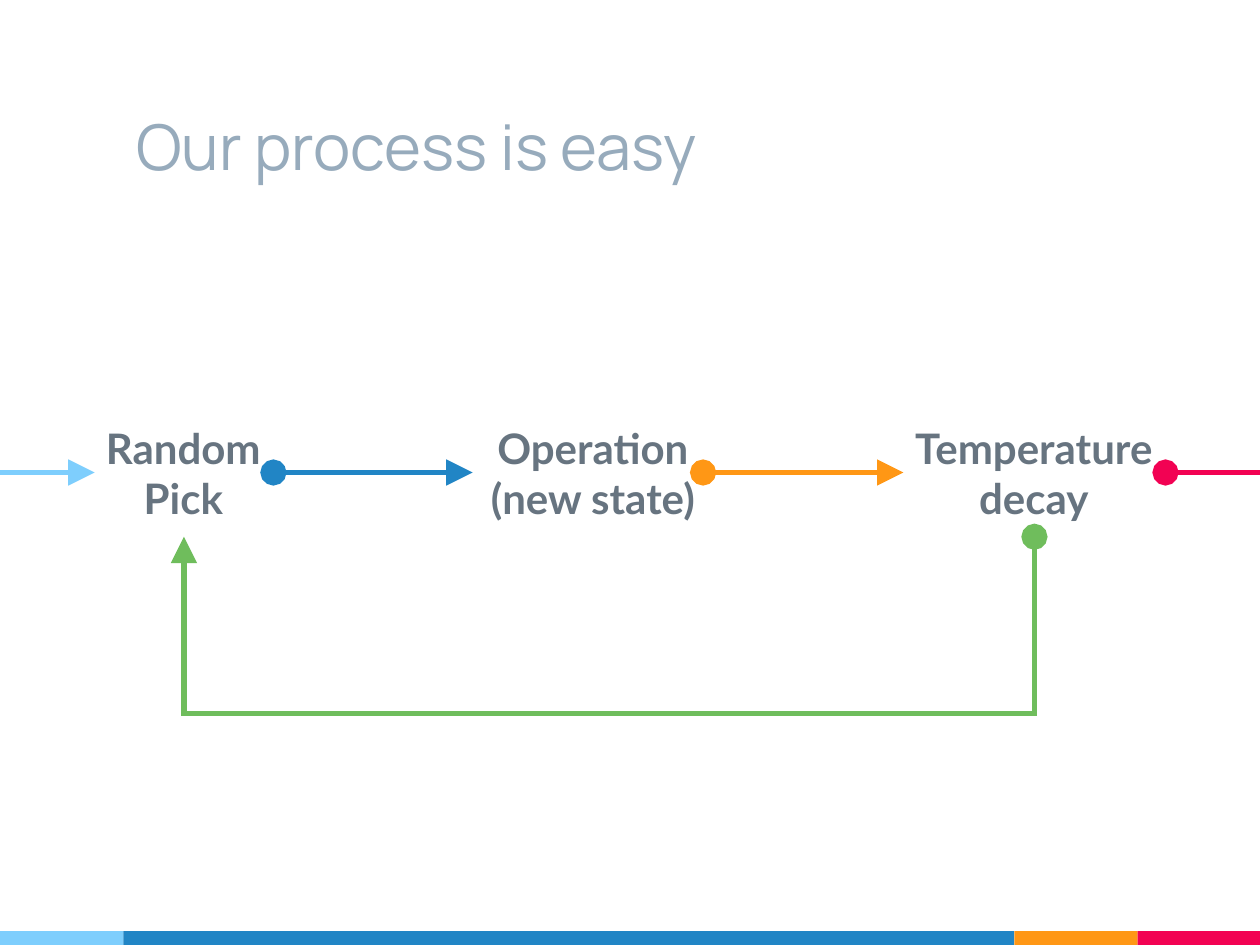
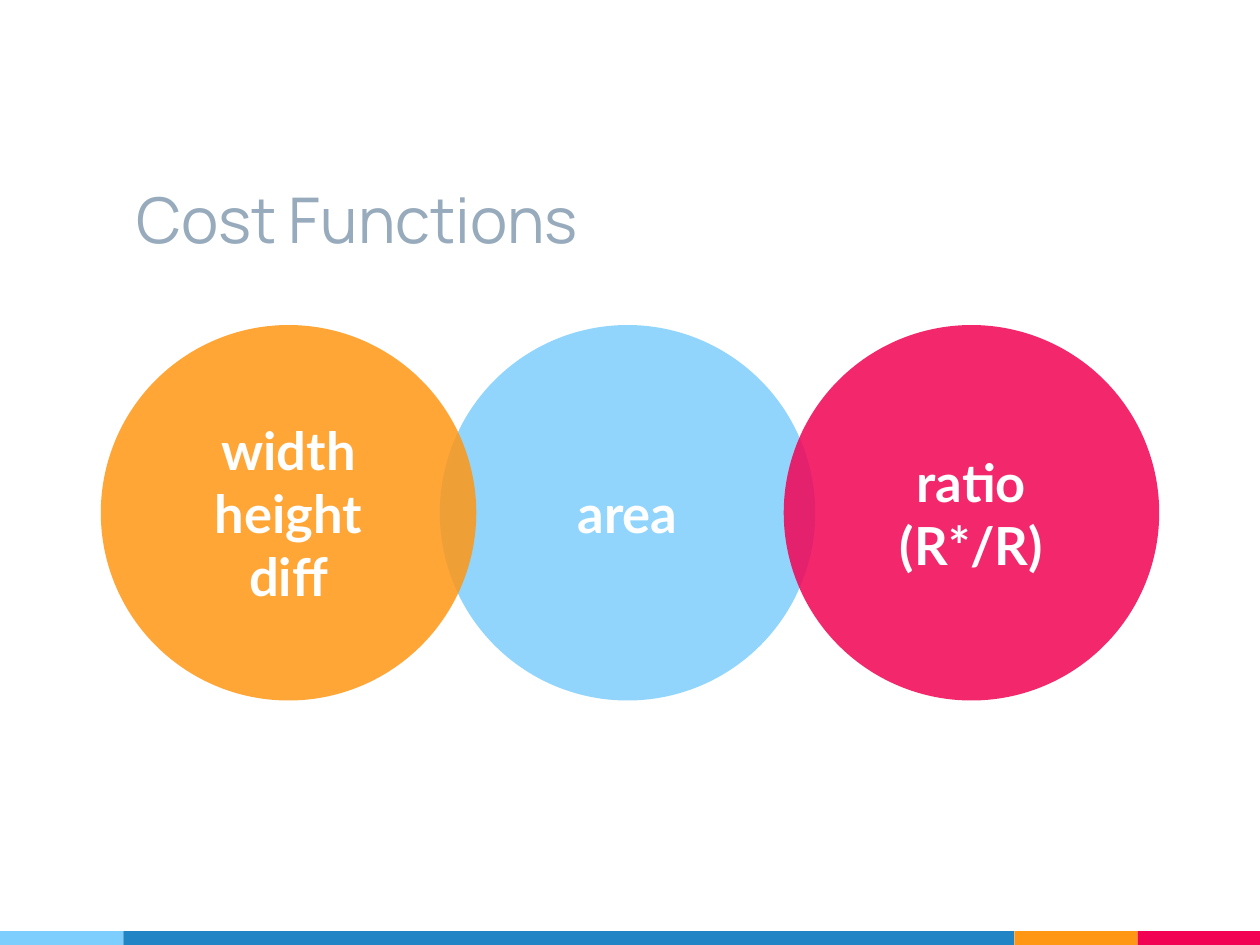
from dataclasses import dataclass

from lxml import etree
from pptx import Presentation
from pptx.dml.color import RGBColor
from pptx.enum.shapes import MSO_CONNECTOR, MSO_SHAPE
from pptx.enum.text import MSO_ANCHOR, MSO_AUTO_SIZE, PP_ALIGN
from pptx.oxml.ns import qn
from pptx.util import Inches, Pt

RECT, OVAL = MSO_SHAPE.RECTANGLE, MSO_SHAPE.OVAL
STRAIGHT = MSO_CONNECTOR.STRAIGHT
LEFT, CENTER = PP_ALIGN.LEFT, PP_ALIGN.CENTER
MIDDLE, BOTTOM = MSO_ANCHOR.MIDDLE, MSO_ANCHOR.BOTTOM
NO_FIT = MSO_AUTO_SIZE.NONE
TITLE_ONLY = 5


@dataclass(frozen=True)
class Theme:
    sky: str = "7ECEFD"
    blue: str = "2185C5"
    orange: str = "FF9715"
    pink: str = "F20253"
    green: str = "6FBD5C"
    title: str = "97ABBC"
    text: str = "677480"
    white: str = "FFFFFF"
    title_font: str = "Manrope"
    body_font: str = "Lato"
    title_size: int = 36
    step_size: int = 24
    circle_size: int = 30
    line_width: int = 3


T = Theme()
SLIDE_W, SLIDE_H = 10, 7.5
MARGIN, TITLE_W, TITLE_H = 0.98, 7.07, 1.25
BAND_H = 0.11


@dataclass(frozen=True)
class Step:
    left: float
    width: float
    text: str


@dataclass(frozen=True)
class Arrow:
    start: tuple[float, float]
    end: tuple[float, float]
    color: str
    head: str = ""
    tail: str = ""


@dataclass(frozen=True)
class Circle:
    left: float
    color: str
    text: str


STEP_Y, STEP_H = 3.75, 0.69
LOOP_TOP, LOOP_BOTTOM = 4.26, 5.66
LOOP_LEFT, LOOP_RIGHT = 1.46, 8.21
HALF_LINE = 0.02

STEPS = [
    Step(0.66, 1.59, "Random Pick"),
    Step(3.75, 1.91, "Operation\n(new state)"),
    Step(7.11, 2.19, "Temperature decay"),
]
ARROWS = [
    Arrow((0, STEP_Y), (0.75, STEP_Y), T.sky, tail="triangle"),
    Arrow((2.17, STEP_Y), (3.75, STEP_Y), T.blue, "oval", "triangle"),
    Arrow((5.58, STEP_Y), (7.17, STEP_Y), T.orange, "oval", "triangle"),
    Arrow((9.25, STEP_Y), (SLIDE_W, STEP_Y), T.pink, "oval"),
    Arrow((LOOP_RIGHT, LOOP_TOP), (LOOP_RIGHT, LOOP_BOTTOM), T.green, "oval"),
    Arrow((LOOP_LEFT - HALF_LINE, LOOP_BOTTOM),
          (LOOP_RIGHT + HALF_LINE, LOOP_BOTTOM), T.green),
    Arrow((LOOP_LEFT, LOOP_TOP), (LOOP_LEFT, LOOP_BOTTOM), T.green, "triangle"),
]

CIRCLE_TOP, CIRCLE_D, CIRCLE_ALPHA = 2.58, 2.98, 85
CIRCLES = [
    Circle(3.49, T.sky, "area"),
    Circle(0.8, T.orange, "width\nheight\ndiff"),
    Circle(6.22, T.pink, "ratio\n(R*/R)"),
]


def rgb(color: str) -> RGBColor:
    return RGBColor.from_string(color)


def put_text(shape, text: str, *, size: int, color: str, font: str = T.body_font,
             bold: bool = True, align=CENTER, anchor=MIDDLE) -> None:
    """Fill a shape with text, one paragraph for each line."""
    tf = shape.text_frame
    tf.word_wrap = True
    tf.auto_size = NO_FIT
    tf.vertical_anchor = anchor
    tf.margin_left = tf.margin_right = Inches(0.1)
    tf.margin_top = tf.margin_bottom = Inches(0.1)
    tf.text = text
    for p in tf.paragraphs:
        p.alignment = align
        p.space_before = Pt(0)
        f = p.runs[0].font
        f.name, f.size, f.bold = font, Pt(size), bold
        f.color.rgb = rgb(color)


def add_filled(s, kind, left: float, top: float, width: float, height: float,
               color: str, alpha: int = 100):
    sp = s.shapes.add_shape(kind, Inches(left), Inches(top),
                            Inches(width), Inches(height))
    sp.shadow.inherit = False
    sp.fill.solid()
    sp.fill.fore_color.rgb = rgb(color)
    sp.line.fill.background()
    if alpha < 100:
        clr = sp.fill._xPr.find(f".//{qn('a:srgbClr')}")
        etree.SubElement(clr, qn("a:alpha"), val=str(alpha * 1000))
    return sp


def add_arrow(s, arrow: Arrow) -> None:
    points = [Inches(v) for v in (*arrow.start, *arrow.end)]
    line = s.shapes.add_connector(STRAIGHT, *points)
    line.line.color.rgb = rgb(arrow.color)
    line.line.width = Pt(T.line_width)
    ln = line.line._get_or_add_ln()
    for tag, kind in (("a:headEnd", arrow.head), ("a:tailEnd", arrow.tail)):
        if kind:
            etree.SubElement(ln, qn(tag), type=kind, w="lg", len="lg")
    etree.SubElement(line._element.spPr, qn("a:effectLst"))


def add_slide(prs, title: str, title_top: float):
    """Add a slide with the shared colour band and title."""
    s = prs.slides.add_slide(prs.slide_layouts[TITLE_ONLY])
    left = 0.0
    widths = (MARGIN, TITLE_W, MARGIN, SLIDE_W - 2 * MARGIN - TITLE_W)
    for width, color in zip(widths, (T.sky, T.blue, T.orange, T.pink)):
        add_filled(s, RECT, left, SLIDE_H - BAND_H, width, BAND_H, color)
        left += width
    sp = s.shapes.title
    sp.left, sp.top = Inches(MARGIN), Inches(title_top)
    sp.width, sp.height = Inches(TITLE_W), Inches(TITLE_H)
    put_text(sp, title, size=T.title_size, color=T.title, font=T.title_font,
             bold=False, align=LEFT, anchor=BOTTOM)
    return s


def build_process(prs) -> None:
    s = add_slide(prs, "Our process is easy", 0.3)
    for arrow in ARROWS:
        add_arrow(s, arrow)
    for step in STEPS:
        box = s.shapes.add_textbox(Inches(step.left), Inches(STEP_Y - STEP_H / 2),
                                   Inches(step.width), Inches(STEP_H))
        put_text(box, step.text, size=T.step_size, color=T.text)


def build_cost_functions(prs) -> None:
    s = add_slide(prs, "Cost Functions", 0.88)
    for circle in CIRCLES:
        sp = add_filled(s, OVAL, circle.left, CIRCLE_TOP, CIRCLE_D, CIRCLE_D,
                        circle.color, CIRCLE_ALPHA)
        put_text(sp, circle.text, size=T.circle_size, color=T.white)


def main() -> None:
    prs = Presentation()
    prs.slide_width, prs.slide_height = Inches(SLIDE_W), Inches(SLIDE_H)
    build_process(prs)
    build_cost_functions(prs)
    prs.save("out.pptx")


if __name__ == "__main__":
    main()
